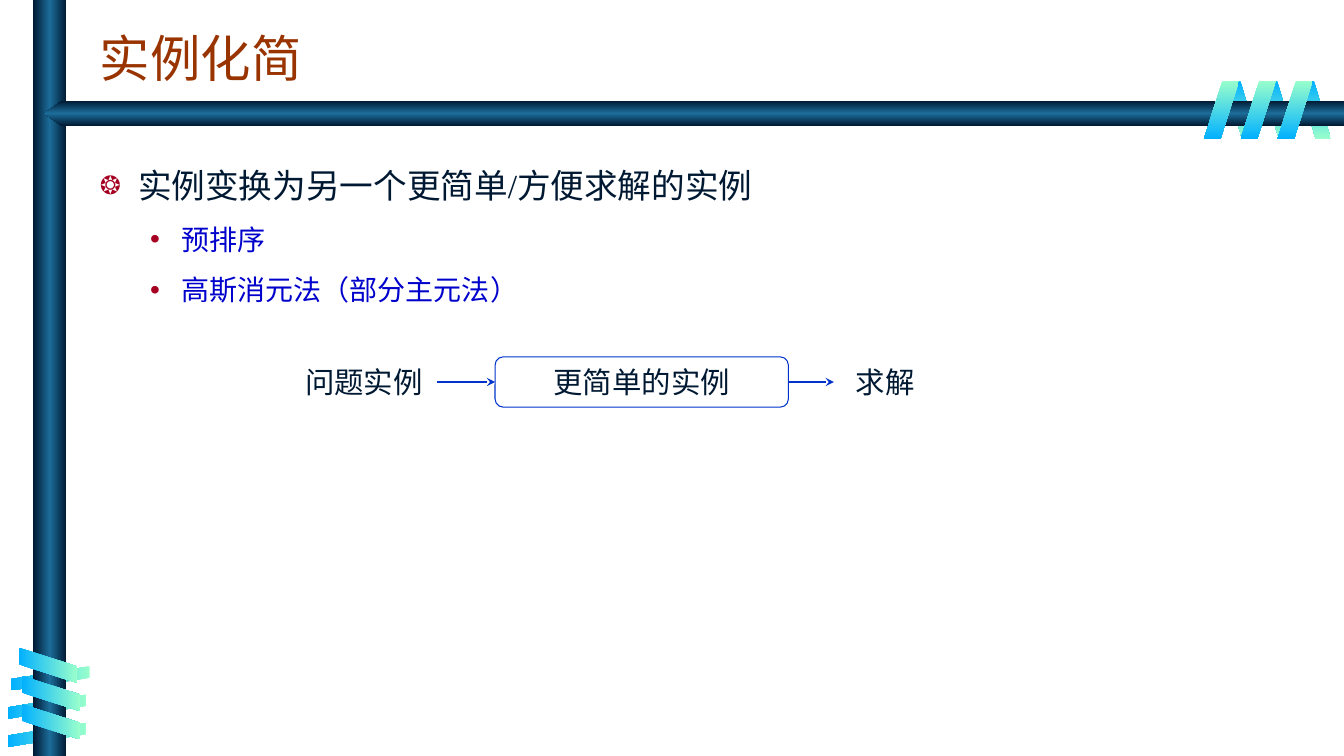
from dataclasses import dataclass

from lxml import etree
from pptx import Presentation
from pptx.dml.color import RGBColor
from pptx.enum import shapes as sh, text as tx
from pptx.oxml import ns
from pptx.util import Inches, Pt

NAVY = RGBColor(0x00, 0x19, 0x32)
STEEL = RGBColor(0x1C, 0x6D, 0x9A)
SKY = RGBColor(0x01, 0xB0, 0xFF)
MINT = RGBColor(0x99, 0xFF, 0xCC)
RUST = RGBColor(0x99, 0x33, 0x00)
CRIMSON = RGBColor(0xA5, 0x00, 0x21)
BLUE = RGBColor(0x00, 0x00, 0xCC)
LINE_BLUE = RGBColor(0x00, 0x33, 0xCC)
WHITE = RGBColor(0xFF, 0xFF, 0xFF)

PIPE = (NAVY, STEEL, NAVY)
SHAPE = sh.MSO_SHAPE


@dataclass
class Piece:
    kind: int
    left: float
    top: float
    width: float
    height: float
    colors: tuple
    angle: int
    adjust: float | None = 0.53
    rotation: int = 0
    flip: bool = False


@dataclass
class Bullet:
    text: str
    level: int
    mark: str
    mark_percent: int
    margin: float
    hang: float
    size: int
    color: RGBColor


@dataclass
class Step:
    text: str
    left: float
    top: float
    width: float
    height: float
    boxed: bool = False


def sub(parent, tag: str, **attributes):
    return etree.SubElement(parent, ns.qn(tag), attributes)


def fill_gradient(shape, colors: tuple, angle: int) -> None:
    shape.fill.gradient()
    gradient = shape._element.spPr.find(ns.qn("a:gradFill"))
    gradient.set("rotWithShape", "0")
    for child in list(gradient):
        gradient.remove(child)
    stops = sub(gradient, "a:gsLst")
    for index, color in enumerate(colors):
        position = index * 100000 // (len(colors) - 1)
        stop = sub(stops, "a:gs", pos=str(position))
        sub(stop, "a:srgbClr", val=str(color))
    sub(gradient, "a:lin", ang=str(angle * 60000), scaled="0")


def draw_piece(slide, piece: Piece) -> None:
    shape = slide.shapes.add_shape(
        piece.kind, Inches(piece.left), Inches(piece.top),
        Inches(piece.width), Inches(piece.height))
    shape.shadow.inherit = False
    shape.line.fill.background()
    if piece.adjust is not None:
        shape.adjustments[0] = piece.adjust
    shape.rotation = piece.rotation
    if piece.flip:
        shape._element.spPr.find(ns.qn("a:xfrm")).set("flipH", "1")
    fill_gradient(shape, piece.colors, piece.angle)


def add_run(paragraph, words: str, size: int, font: str, color: RGBColor) -> None:
    run = paragraph.add_run()
    run.text = words
    run.font.size = Pt(size)
    run.font.name = font
    run.font.color.rgb = color


def place(shape, left: float, top: float, width: float, height: float) -> None:
    shape.left, shape.top = Inches(left), Inches(top)
    shape.width, shape.height = Inches(width), Inches(height)


def add_bullet(paragraph, bullet: Bullet) -> None:
    paragraph.level = bullet.level
    properties = paragraph._p.get_or_add_pPr()
    properties.set("marL", str(Inches(bullet.margin)))
    properties.set("indent", str(-Inches(bullet.hang)))
    sub(sub(properties, "a:buClr"), "a:srgbClr", val=str(CRIMSON))
    sub(properties, "a:buSzPct", val=str(bullet.mark_percent * 1000))
    sub(properties, "a:buChar", char=bullet.mark)
    paragraph.alignment = tx.PP_ALIGN.LEFT
    paragraph.line_spacing = 1.5
    paragraph.space_before = Pt(0)
    add_run(paragraph, bullet.text, bullet.size, "Times New Roman", bullet.color)


def draw_step(slide, step: Step):
    frame = [Inches(n) for n in (step.left, step.top, step.width, step.height)]
    if step.boxed:
        shape = slide.shapes.add_shape(SHAPE.ROUNDED_RECTANGLE, *frame)
        shape.shadow.inherit = False
        shape.fill.solid()
        shape.fill.fore_color.rgb = WHITE
        shape.line.color.rgb = LINE_BLUE
        shape.line.width = Pt(0.75)
    else:
        shape = slide.shapes.add_textbox(*frame)
    shape.text_frame.word_wrap = True
    shape.text_frame.vertical_anchor = tx.MSO_ANCHOR.MIDDLE
    paragraph = shape.text_frame.paragraphs[0]
    paragraph.alignment = tx.PP_ALIGN.CENTER
    add_run(paragraph, step.text, 21, "Arial", NAVY)
    return shape


def draw_arrow(slide, source, target) -> None:
    arrow = slide.shapes.add_connector(sh.MSO_CONNECTOR.STRAIGHT, 0, 0, 0, 0)
    arrow.begin_connect(source, 3)
    arrow.end_connect(target, 1)
    arrow.line.color.rgb = LINE_BLUE
    arrow.line.width = Pt(1.5)
    sub(arrow.line._get_or_add_ln(), "a:tailEnd", type="stealth")
    sub(arrow._element.spPr, "a:effectLst")


def frame_pieces() -> list[Piece]:
    ribbon = SHAPE.PARALLELOGRAM
    turns = range(3)
    nudges = (0, -0.03, -0.03)
    right_back = [Piece(ribbon, 12.88 - 0.365 * i, 0.8, 0.32, 0.58, (SKY, MINT), 90,
                        rotation=180, flip=True) for i in turns]
    left_back = [Piece(ribbon, 0.38 + nudges[i], 6.34 + 0.28 * i, 0.24, 0.78,
                       (MINT, SKY), 0, rotation=90, flip=True) for i in turns]
    pipes = [Piece(SHAPE.RECTANGLE, 0.33, 0, 0.33, 7.5, PIPE, 0, None),
             Piece(SHAPE.PENTAGON, 0.44, 1, 12.89, 0.25, PIPE, 90, 0.68, flip=True)]
    left_front = [Piece(ribbon, 0.3 - nudges[i], 6.31 + 0.28 * i, 0.35, 0.58,
                        (SKY, MINT), 0, rotation=270) for i in turns]
    right_front = [Piece(ribbon, 12.67 - 0.365 * i, 0.8, 0.35, 0.58, (MINT, SKY), 90)
                   for i in turns]
    return right_back + left_back + pipes + left_front + right_front


BULLETS = [
    Bullet("实例变换为另一个更简单/方便求解的实例", 0, "❂", 75, 0.38, 0.38, 24, NAVY),
    Bullet("预排序", 1, "•", 100, 0.81, 0.31, 20, BLUE),
    Bullet("高斯消元法（部分主元法）", 1, "•", 100, 0.81, 0.31, 20, BLUE),
]

STEPS = [
    Step("问题实例", 2.89, 3.56, 1.44, 0.46),
    Step("更简单的实例", 4.91, 3.54, 2.91, 0.5, boxed=True),
    Step("求解", 8.27, 3.56, 1.02, 0.46),
]


def main() -> None:
    deck = Presentation()
    deck.slide_width, deck.slide_height = Inches(13.33), Inches(7.5)
    slide = deck.slides.add_slide(deck.slide_layouts[1])

    for piece in frame_pieces():
        draw_piece(slide, piece)

    title = slide.shapes.title
    place(title, 0.89, 0.17, 12.22, 0.75)
    title.text_frame.auto_size = tx.MSO_AUTO_SIZE.NONE
    title.text_frame.vertical_anchor = tx.MSO_ANCHOR.BOTTOM
    heading = title.text_frame.paragraphs[0]
    heading.alignment = tx.PP_ALIGN.LEFT
    add_run(heading, "实例化简", 36, "Times New Roman", RUST)

    body = slide.placeholders[1]
    place(body, 0.89, 1.39, 10.53, 1.67)
    body.text_frame.auto_size = tx.MSO_AUTO_SIZE.NONE
    for index, bullet in enumerate(BULLETS):
        frame = body.text_frame
        add_bullet(frame.add_paragraph() if index else frame.paragraphs[0], bullet)

    steps = [draw_step(slide, step) for step in STEPS]
    for source, target in zip(steps, steps[1:]):
        draw_arrow(slide, source, target)

    deck.save("out.pptx")


if __name__ == "__main__":
    main()
